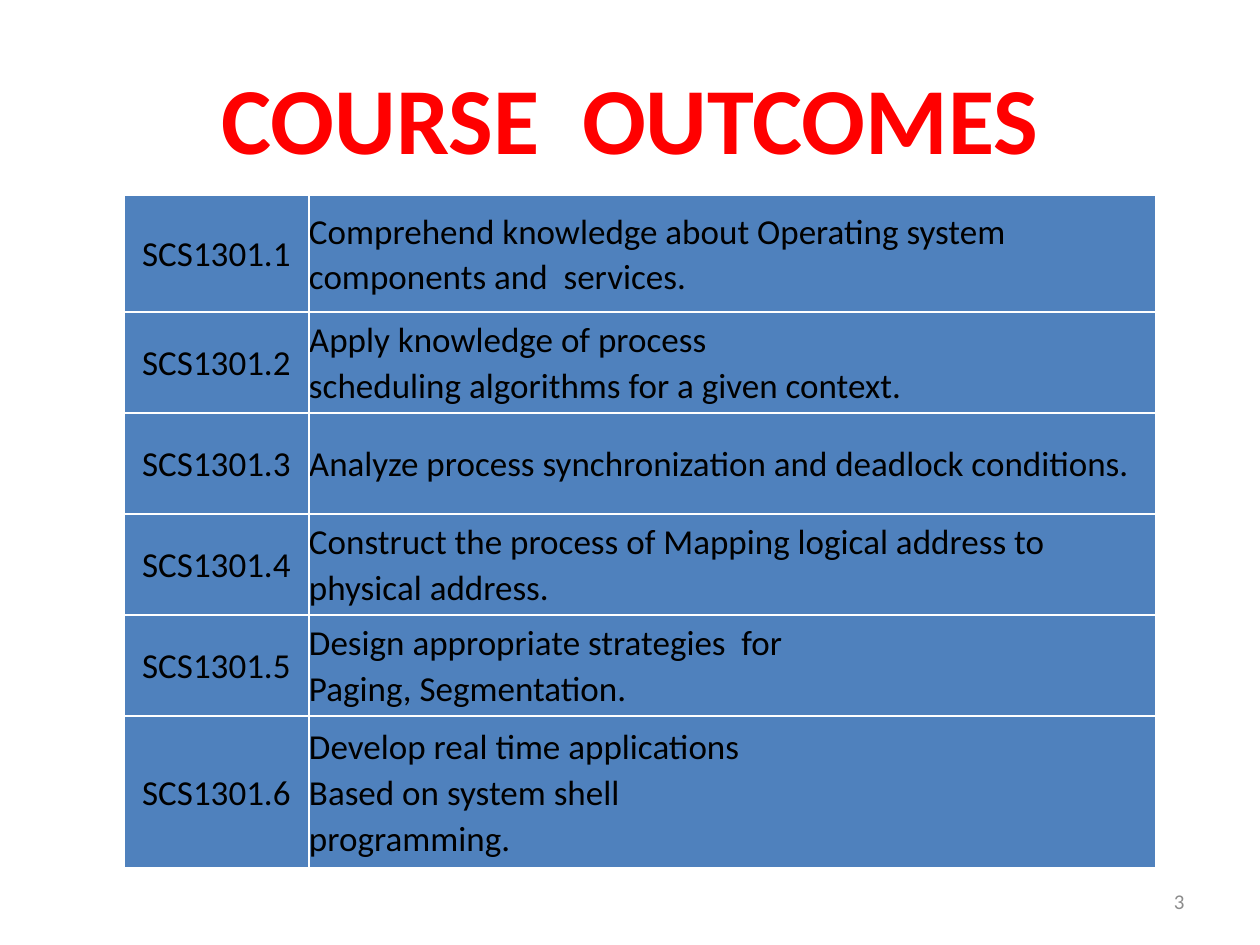
from dataclasses import dataclass
from lxml.etree import SubElement
from pptx import Presentation
from pptx.dml.color import RGBColor as Rgb
from pptx.enum.text import MSO_ANCHOR as Anchor, PP_ALIGN as Align
from pptx.oxml.ns import qn
from pptx.util import Emu, Pt

TITLE = "COURSE  OUTCOMES"
PAGE = "3"
GOALS = [
    ("SCS1301.1", ["Comprehend knowledge about Operating system components and  services."]),
    ("SCS1301.2", ["Apply knowledge of process", "scheduling algorithms for a given context."]),
    ("SCS1301.3", ["Analyze process synchronization and deadlock conditions."]),
    ("SCS1301.4", ["Construct the process of Mapping logical address to physical address."]),
    ("SCS1301.5", ["Design appropriate strategies  for", "Paging, Segmentation."]),
    ("SCS1301.6", ["Develop real time applications", "Based on system shell", "programming."]),
]
COLS = [185, 847]
ROWS = [117, 101, 101, 101, 101, 152]
SPOT = (124, 195)


@dataclass(frozen=True)
class Theme:
    font: str = "Calibri"
    head: str = "FF0000"
    body: str = "000000"
    foot: str = "8C8C8C"
    fill: str = "4F81BD"
    rule: str = "FFFFFF"
    big: int = 54
    mid: int = 20
    small: int = 12
    line: int = 1


T = Theme()


def px(num):
    return Emu(round(num * 914400 / 126))


def write(frame, lines, size, color, align, bold=False, lead=None, after=0):
    for i, line in enumerate(lines):
        para = frame.add_paragraph() if i else frame.paragraphs[0]
        para.alignment = align
        para.space_after = Pt(after)
        if lead:
            para.line_spacing = lead
        run = para.add_run()
        run.text = line
        font = run.font
        font.name, font.size, font.bold = T.font, Pt(size), bold
        font.color.rgb = Rgb.from_string(color)


def label(slide, box, text, size, color, align, bold=False):
    frame = slide.shapes.add_textbox(*map(px, box)).text_frame
    frame.word_wrap = True
    frame.vertical_anchor = Anchor.MIDDLE
    write(frame, [text], size, color, align, bold)


def edge(cell):
    props = cell._tc.get_or_add_tcPr()
    for i, side in enumerate(("lnL", "lnR", "lnT", "lnB")):
        line = props.makeelement(qn(f"a:{side}"), {"w": str(Pt(T.line))})
        props.insert(i, line)
        fill = SubElement(line, qn("a:solidFill"))
        SubElement(fill, qn("a:srgbClr"), val=T.rule)


def fill_cell(cell, lines, align, after=0):
    cell.margin_left = cell.margin_right = cell.margin_top = cell.margin_bottom = 0
    cell.vertical_anchor = Anchor.MIDDLE
    cell.fill.solid()
    cell.fill.fore_color.rgb = Rgb.from_string(T.fill)
    edge(cell)
    write(cell.text_frame, lines, T.mid, T.body, align, lead=1.07, after=after)


def add_goals(slide):
    box = (*SPOT, sum(COLS), sum(ROWS))
    table = slide.shapes.add_table(len(ROWS), len(COLS), *map(px, box)).table
    for col, wide in zip(table.columns, COLS):
        col.width = px(wide)
    for i, (tall, (code, lines)) in enumerate(zip(ROWS, GOALS)):
        table.rows[i].height = px(tall)
        fill_cell(table.cell(i, 0), [code], Align.CENTER, after=8)
        fill_cell(table.cell(i, 1), lines, Align.LEFT)


def main():
    deck = Presentation()
    deck.slide_width, deck.slide_height = px(1260), px(945)
    slide = deck.slides.add_slide(deck.slide_layouts[6])
    label(slide, (903, 876, 294, 50), PAGE, T.small, T.foot, Align.RIGHT)
    label(slide, (63, 53, 1134, 127), TITLE, T.big, T.head, Align.CENTER, True)
    add_goals(slide)
    deck.save("out.pptx")


if __name__ == "__main__":
    main()
